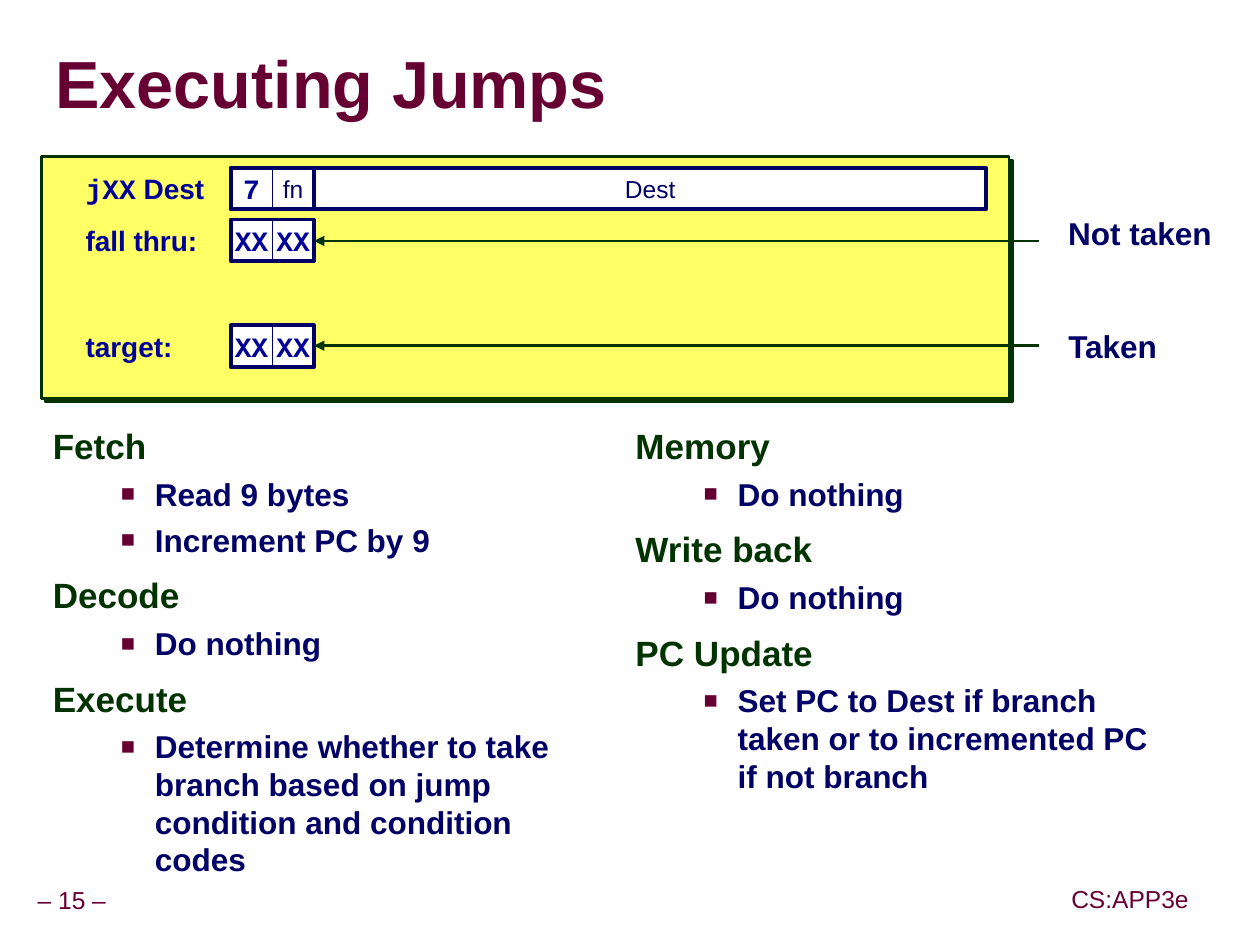
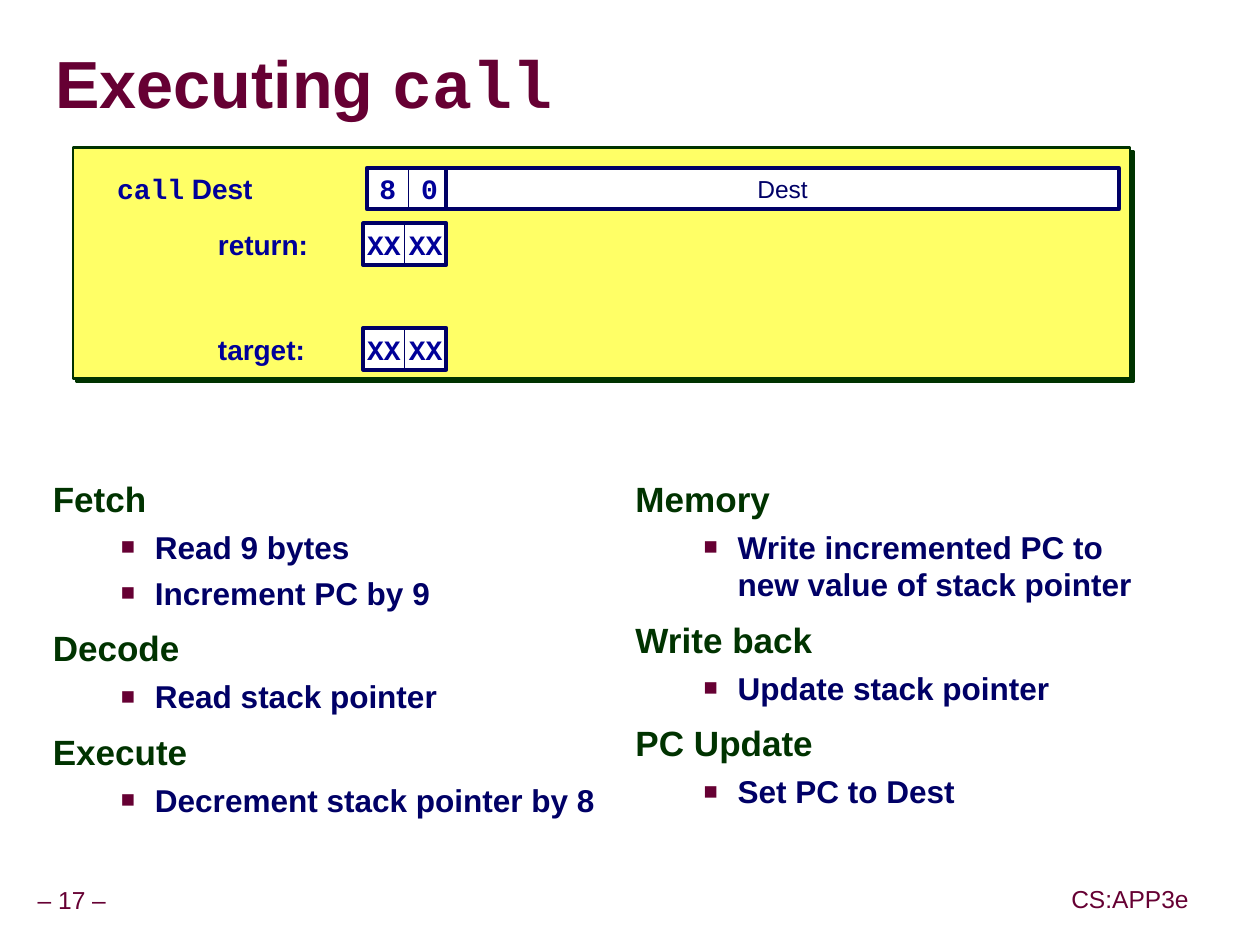
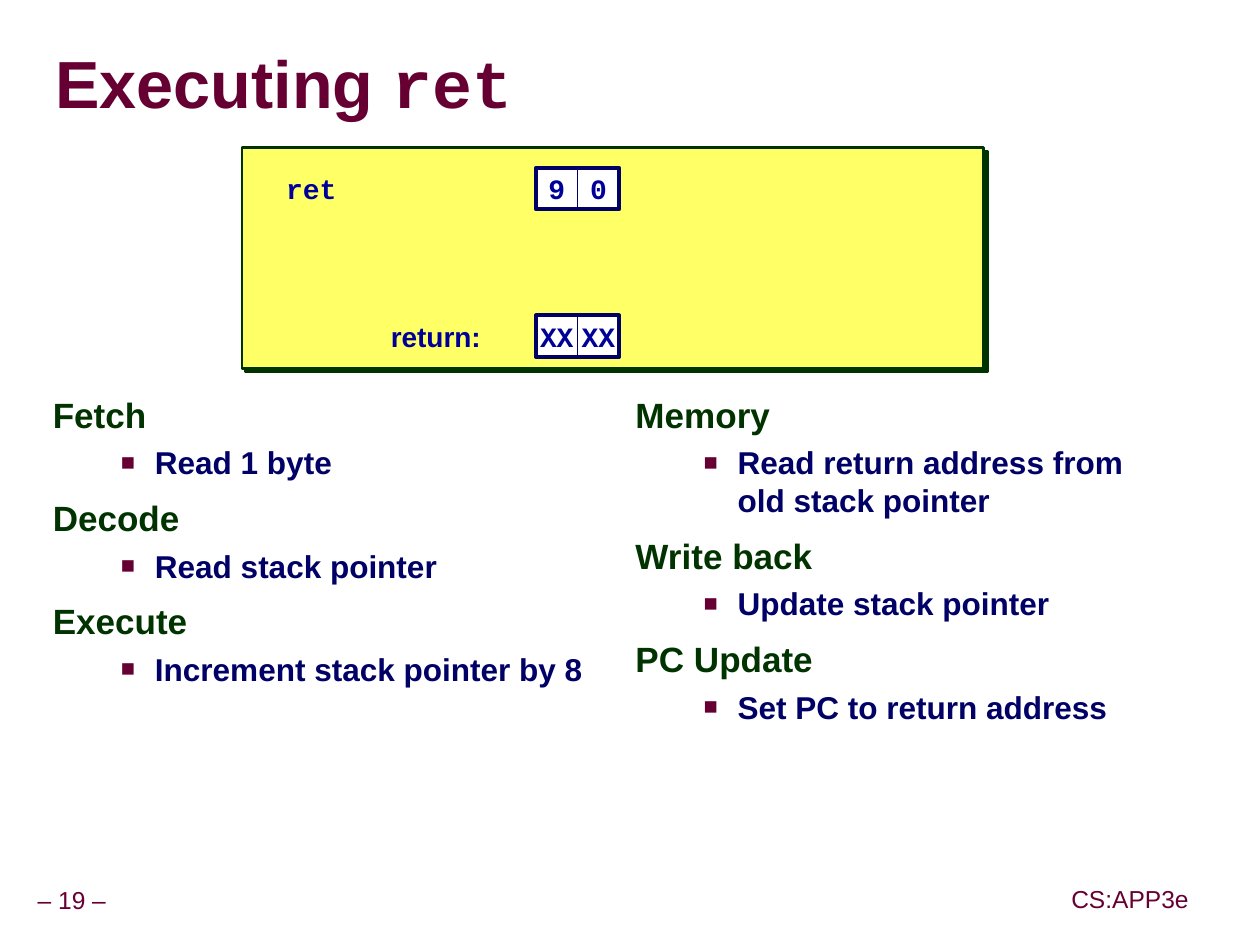
import collections

import pptx
import pptx.dml.color
import pptx.enum.shapes
import pptx.enum.text
import pptx.oxml
import pptx.oxml.ns
import pptx.util

PX = 9144  # EMU, 100 px to the inch
MAROON, GREEN, NAVY, BLUE = "660033", "003300", "000066", "000099"
YELLOW, WHITE, GRAY = "FFFF66", "FFFFFF", "969696"
BYTE = 33  # side of one half-byte cell

Style = collections.namedtuple("Style", "size font color bold")
TITLE = Style(38, "Arial", MAROON, True)
TITLE_CODE = TITLE._replace(font="Courier New")
FOOTER = Style(14, "Arial", MAROON, False)
HEADING = Style(20, "Arial", GREEN, True)
ITEM = Style(18, "Arial", NAVY, True)
LABEL = Style(16, "Arial", BLUE, True)
CODE = LABEL._replace(font="Courier New")
FIELD = Style(14, "Arial", NAVY, False)

LEFT, CENTER = pptx.enum.text.PP_ALIGN.LEFT, pptx.enum.text.PP_ALIGN.CENTER
TOP, MIDDLE = pptx.enum.text.MSO_ANCHOR.TOP, pptx.enum.text.MSO_ANCHOR.MIDDLE

Row = collections.namedtuple("Row", "y label_x label bytes_x cells dest_x", defaults=[None])
XX = [("XX", CODE), ("XX", CODE)]

SLIDES = [
    dict(
        number=15,
        title=[("Executing Jumps", TITLE)],
        panel=(33, 124, 767, 192),
        rows=[
            Row(9, 25, [("jXX", CODE), (" Dest", LABEL)], 150, [("7", CODE), ("fn", FIELD)], 216),
            Row(50, 25, [("fall thru:", LABEL)], 150, XX),
            Row(134, 25, [("target:", LABEL)], 150, XX),
        ],
        branches=[(67, 44, "Not taken", 124), (150, 134, "Taken", 82)],
        steps_top=333,
        left=[
            ("Fetch", ["Read 9 bytes", "Increment PC by 9"]),
            ("Decode", ["Do nothing"]),
            ("Execute", ["Determine whether to take branch based on jump condition and condition codes"]),
        ],
        right=[
            ("Memory", ["Do nothing"]),
            ("Write back", ["Do nothing"]),
            ("PC Update", ["Set PC to Dest if branch taken or to incremented PC if not branch"]),
        ],
    ),
    dict(
        number=17,
        title=[("Executing ", TITLE), ("call", TITLE_CODE)],
        panel=(58, 117, 838, 183),
        rows=[
            Row(16, 25, [("call", CODE), (" Dest", LABEL)], 233, [("8", CODE), ("0", CODE)], 296),
            Row(60, 105, [("return:", LABEL)], 230, XX),
            Row(143, 105, [("target:", LABEL)], 230, XX),
        ],
        branches=[],
        steps_top=375,
        left=[
            ("Fetch", ["Read 9 bytes", "Increment PC by 9"]),
            ("Decode", ["Read stack pointer"]),
            ("Execute", ["Decrement stack pointer by 8"]),
        ],
        right=[
            ("Memory", ["Write incremented PC to new value of stack pointer"]),
            ("Write back", ["Update stack pointer"]),
            ("PC Update", ["Set PC to Dest"]),
        ],
    ),
    dict(
        number=19,
        title=[("Executing ", TITLE), ("ret", TITLE_CODE)],
        panel=(192, 117, 588, 175),
        rows=[
            Row(16, 25, [("ret", CODE)], 233, [("9", CODE), ("0", CODE)]),
            Row(133, 108, [("return:", LABEL)], 233, XX),
        ],
        branches=[],
        steps_top=308,
        left=[
            ("Fetch", ["Read 1 byte"]),
            ("Decode", ["Read stack pointer"]),
            ("Execute", ["Increment stack pointer by 8"]),
        ],
        right=[
            ("Memory", ["Read return address from old stack pointer"]),
            ("Write back", ["Update stack pointer"]),
            ("PC Update", ["Set PC to return address"]),
        ],
    ),
]


def emu(*lengths):
    return [pptx.util.Emu(n * PX) for n in lengths]


def rgb(color):
    return pptx.dml.color.RGBColor.from_string(color)


def xml(tag, content="", **attrs):
    """Build one DrawingML element."""
    listed = "".join(f' {k}="{v}"' for k, v in attrs.items())
    ns = pptx.oxml.ns.nsdecls("a")
    return pptx.oxml.parse_xml(f"<a:{tag} {ns}{listed}>{content}</a:{tag}>")


def hard_shadow(color):
    return xml(
        "effectLst",
        '<a:outerShdw blurRad="0" dist="35921" dir="2700000" algn="ctr" rotWithShape="0">'
        f'<a:srgbClr val="{color}"/></a:outerShdw>',
    )


def add_runs(p, runs):
    for text, style in runs:
        r = p.add_run()
        r.text = text
        r.font.size = pptx.util.Pt(style.size)
        r.font.bold = style.bold
        r.font.color.rgb = rgb(style.color)
        r.font.name = style.font


def set_frame(shape, insets, wrap, anchor):
    tf = shape.text_frame
    tf.margin_left, tf.margin_top, tf.margin_right, tf.margin_bottom = emu(*insets)
    tf.word_wrap = wrap
    tf.vertical_anchor = anchor
    return tf


def add_text(s, box, runs, insets=(10, 5, 10, 5), wrap=True, align=LEFT, anchor=MIDDLE, spacing=1.0):
    tf = set_frame(s.shapes.add_textbox(*emu(*box)), insets, wrap, anchor)
    p = tf.paragraphs[0]
    p.alignment = align
    p.line_spacing = spacing
    add_runs(p, runs)
    return p


def add_rect(s, box, line, width, fill=None, runs=()):
    sp = s.shapes.add_shape(pptx.enum.shapes.MSO_SHAPE.RECTANGLE, *emu(*box))
    sp.shadow.inherit = False
    if fill:
        sp.fill.solid()
        sp.fill.fore_color.rgb = rgb(fill)
    else:
        sp.fill.background()
    sp.line.color.rgb = rgb(line)
    sp.line.width = pptx.util.Pt(width)
    p = set_frame(sp, (10, 5, 10, 5), False, MIDDLE).paragraphs[0]
    p.alignment = CENTER
    add_runs(p, runs)
    return sp


def add_title(s, box, runs):
    p = add_text(s, box, runs, insets=(0, 0, 0, 0), spacing=0.87)
    for r in p.runs:
        fill = r.font._element.find(pptx.oxml.ns.qn("a:solidFill"))
        fill.addnext(hard_shadow(GRAY))


def add_footer(s, number):
    for box, text in (((24, 699, 66, 31), f"– {number} –"), ((844, 698, 104, 32), "CS:APP3e")):
        add_text(s, box, [(text, FOOTER)], (5, 5, 5, 5), wrap=False, align=CENTER, spacing=0.9)


def add_instruction(s, left, top, row):
    """Place a label, its two byte cells and an optional Dest field from the panel's corner."""
    x, y = left + row.bytes_x, top + row.y
    label_x = left + row.label_x
    add_text(s, (label_x, y, x - label_x - 3, BYTE), row.label)
    for i, cell in enumerate(row.cells):
        add_rect(s, (x + i * BYTE, y, BYTE, BYTE), NAVY, 0.5, WHITE, [cell])
    add_rect(s, (x, y, 2 * BYTE, BYTE), NAVY, 2.25)
    if row.dest_x is not None:
        add_rect(s, (left + row.dest_x, y, 533, BYTE), NAVY, 2.25, WHITE, [("Dest", FIELD)])


def add_panel(s, box, rows):
    sp = add_rect(s, box, GREEN, 1.5, YELLOW)
    sp._element.spPr.remove(sp._element.spPr.find(pptx.oxml.ns.qn("a:effectLst")))
    sp._element.spPr.append(hard_shadow(GREEN))
    for row in rows:
        add_instruction(s, box[0], box[1], row)


def add_branch(s, panel, arrow_y, text_y, text, width):
    """Point an arrow from outside the panel at a row's bytes, and name it."""
    left, top, panel_width, _ = panel
    right, y = left + panel_width, top + arrow_y
    line = s.shapes.add_connector(
        pptx.enum.shapes.MSO_CONNECTOR.STRAIGHT, *emu(right + 24, y, left + 216, y)
    )
    line.line.color.rgb = rgb(GREEN)
    line.line.width = pptx.util.Pt(1.5)
    line.line._get_or_add_ln().append(xml("tailEnd", type="triangle"))
    line._element.spPr.append(xml("effectLst"))
    add_text(
        s, (right + 42, top + text_y, width, 37), [(text, ITEM)], (5, 5, 5, 5),
        wrap=False, anchor=TOP, spacing=0.9,
    )


def add_bullet(p):
    pPr = p._p.get_or_add_pPr()
    indent, hanging = emu(81, -27)
    pPr.set("marL", str(indent))
    pPr.set("indent", str(hanging))
    pPr.append(xml("buClr", f'<a:srgbClr val="{MAROON}"/>'))
    pPr.append(xml("buSzPct", val=75000))
    pPr.append(xml("buFont", typeface="Arial"))
    pPr.append(xml("buChar", char="■"))


def add_stages(s, box, stages):
    """List each stage's heading with its bulleted steps."""
    tf = set_frame(s.shapes.add_textbox(*emu(*box)), (10, 7, 10, 5), True, TOP)
    lines = []
    for heading, steps in stages:
        lines.append((heading, HEADING))
        lines += [(step, ITEM) for step in steps]
    for i, (text, style) in enumerate(lines):
        p = tf.add_paragraph() if i else tf.paragraphs[0]
        if style is ITEM:
            add_bullet(p)
        p.line_spacing = pptx.util.Pt(21.5)
        if i:
            p.space_before = pptx.util.Pt(4.75 if style is ITEM else 11.25)
        add_runs(p, [(text, style)])


def add_slide(prs, number, title, panel, rows, branches, steps_top, left, right):
    s = prs.slides.add_slide(prs.slide_layouts[6])
    add_footer(s, number)
    add_title(s, (44, 27, 952, 85), title)
    for x, width, stages in ((32, 459, left), (494, 445, right)):
        add_stages(s, (x, steps_top, width, 703 - steps_top), stages)
    add_panel(s, panel, rows)
    for branch in branches:
        add_branch(s, panel, *branch)


def main():
    prs = pptx.Presentation()
    prs.slide_width, prs.slide_height = emu(999, 749)
    for content in SLIDES:
        add_slide(prs, **content)
    prs.save("out.pptx")


if __name__ == "__main__":
    main()
